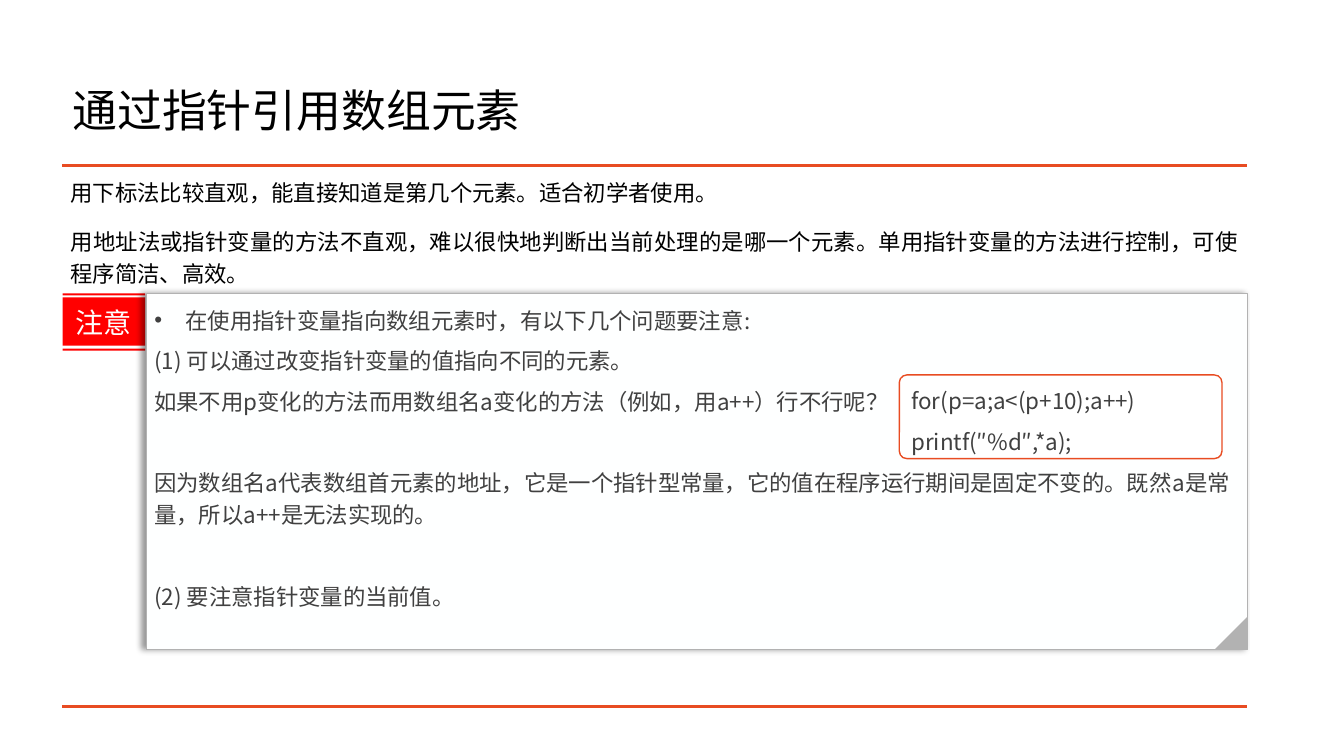
from lxml.etree import SubElement
from pptx import Presentation
from pptx.dml.color import RGBColor
from pptx.enum.shapes import MSO_CONNECTOR as LINE, MSO_SHAPE as SHAPE
from pptx.enum.text import MSO_ANCHOR as ANCHOR, PP_ALIGN as ALIGN
from pptx.oxml.ns import qn
from pptx.util import Pt

PX = 9144  # 100 px to the inch
FONT = "Noto Sans CJK SC"
BLACK = RGBColor(0x00, 0x00, 0x00)
WHITE = RGBColor(0xFF, 0xFF, 0xFF)
PAPER = RGBColor(0xFE, 0xFF, 0xFF)
INK = RGBColor(0x40, 0x40, 0x40)
GRAY = RGBColor(0xB2, 0xB2, 0xB2)
ORANGE = RGBColor(0xE8, 0x4C, 0x22)
RED = RGBColor(0xFF, 0x00, 0x00)

INTRO = [
    "用下标法比较直观，能直接知道是第几个元素。适合初学者使用。",
    "用地址法或指针变量的方法不直观，难以很快地判断出当前处理的是哪一个元素。"
    "单用指针变量的方法进行控制，可使程序简洁、高效。",
]
NOTES = [
    "在使用指针变量指向数组元素时，有以下几个问题要注意:",
    "(1) 可以通过改变指针变量的值指向不同的元素。",
    "如果不用p变化的方法而用数组名a变化的方法（例如，用a++）行不行呢？",
    "因为数组名a代表数组首元素的地址，它是一个指针型常量，"
    "它的值在程序运行期间是固定不变的。既然a是常量，所以a++是无法实现的。",
    "(2) 要注意指针变量的当前值。",
]
CODE = ["for(p=a;a<(p+10);a++)", "printf(″%d″,*a);"]


def px(*sizes):
    return [round(size * PX) for size in sizes]


def add_bullet(para, indent):
    props = para._p.get_or_add_pPr()
    props.set("marL", str(indent * PX))
    props.set("indent", str(-indent * PX))
    SubElement(props, qn("a:buFont")).set("typeface", "Arial")
    SubElement(props, qn("a:buChar")).set("char", "•")


def write(shape, lines, size=16, color=INK, align=ALIGN.LEFT, anchor=ANCHOR.TOP,
          inset=(10, 5), before=0, after=0, spacing=1.2, gaps=None, bullets=()):
    """Fill the shape with paragraphs; gaps maps a line to its own space before."""
    frame = shape.text_frame
    frame.word_wrap = True
    frame.vertical_anchor = anchor
    frame.margin_left = frame.margin_right = inset[0] * PX
    frame.margin_top = frame.margin_bottom = inset[1] * PX
    for i, text in enumerate(lines):
        para = frame.add_paragraph() if i else frame.paragraphs[0]
        para.alignment = align
        para.line_spacing = spacing
        para.space_before = Pt((gaps or {}).get(i, before) if i else 0)
        para.space_after = Pt(after)
        if i in bullets:
            add_bullet(para, 31)
        run = para.add_run()
        run.text = text
        run.font.size = Pt(size)
        run.font.name = FONT
        run.font.color.rgb = color
        SubElement(run._r.get_or_add_rPr(), qn("a:ea")).set("typeface", FONT)


def paint(shape, fill, line=None, width=1):
    shape.shadow.inherit = False
    shape.fill.solid()
    shape.fill.fore_color.rgb = fill
    if line is None:
        shape.line.fill.background()
    else:
        shape.line.color.rgb = line
        shape.line.width = Pt(width)


def cast(shape):
    """Drop a soft shadow to the left."""
    effects = shape._element.spPr.find(qn("a:effectLst"))
    shade = SubElement(effects, qn("a:outerShdw"), blurRad=str(Pt(4)),
                       dist=str(Pt(3)), dir="10800000", algn="r", rotWithShape="0")
    tint = SubElement(shade, qn("a:srgbClr"), val="000000")
    SubElement(tint, qn("a:alpha"), val="40000")


def add_rule(shapes, x, y, w):
    rule = shapes.add_connector(LINE.STRAIGHT, *px(x, y, x + w, y))
    rule.line.color.rgb = ORANGE
    rule.line.width = Pt(2)
    SubElement(rule._element.spPr, qn("a:effectLst"))


def add_title(shapes, x, y, w, h):
    box = shapes.add_textbox(*px(x, y, w, h))
    write(box, ["通过指针引用数组元素"], size=32, color=BLACK,
          anchor=ANCHOR.MIDDLE, spacing=0.9)


def add_intro(shapes, x, y, w, h):
    for edge in (y, y + h):
        add_rule(shapes, x, edge, w)
    box = shapes.add_textbox(*px(x, y, w, 127))
    write(box, INTRO, color=BLACK, align=ALIGN.JUSTIFY, inset=(8, 8),
          before=6, after=6)


def add_tag(shapes, x, y, w, h):
    """Draw a red label between two thin bars."""
    bands = [(0, 2), (4, h - 5), (h - 2, h)]
    pen = shapes.build_freeform(x, y, scale=PX)
    for top, base in bands:
        pen.move_to(x, y + top)
        pen.add_line_segments([(x + w, y + top), (x + w, y + base), (x, y + base)])
    tag = pen.convert_to_shape()
    paint(tag, RED)
    write(tag, ["注意"], size=20, color=PAPER, align=ALIGN.CENTER,
          anchor=ANCHOR.MIDDLE, spacing=1.0)


def add_code(shapes, x, y, w, h):
    box = shapes.add_shape(SHAPE.ROUNDED_RECTANGLE, *px(x, y, w, h))
    box.adjustments[0] = 0.09
    paint(box, WHITE, ORANGE)
    write(box, CODE, after=6)


def add_note(shapes, x, y, w, h):
    card = shapes.add_shape(SHAPE.RECTANGLE, *px(x, y, w, h))
    paint(card, PAPER, GRAY, 0.75)
    cast(card)
    write(card, NOTES, inset=(8, 8), after=6, gaps={3: 29, 4: 29}, bullets=[0])
    fold = 32
    flap = shapes.add_shape(SHAPE.RIGHT_TRIANGLE,
                            *px(x + w - fold, y + h - fold, fold, fold))
    flap.rotation = 270
    paint(flap, GRAY)
    add_code(shapes, x + 747, y + 81, 320, 83)


def main():
    deck = Presentation()
    deck.slide_width, deck.slide_height = px(1333, 750)
    slide = deck.slides.add_slide(deck.slide_layouts[6])
    slide.background.fill.solid()
    slide.background.fill.fore_color.rgb = WHITE
    shapes = slide.shapes
    add_title(shapes, 62, 60, 1150, 104)
    add_intro(shapes, 62, 164, 1175, 537)
    add_tag(shapes, 62, 291, 82, 57)
    add_note(shapes, 145, 291, 1092, 353)
    deck.save("out.pptx")


if __name__ == "__main__":
    main()
